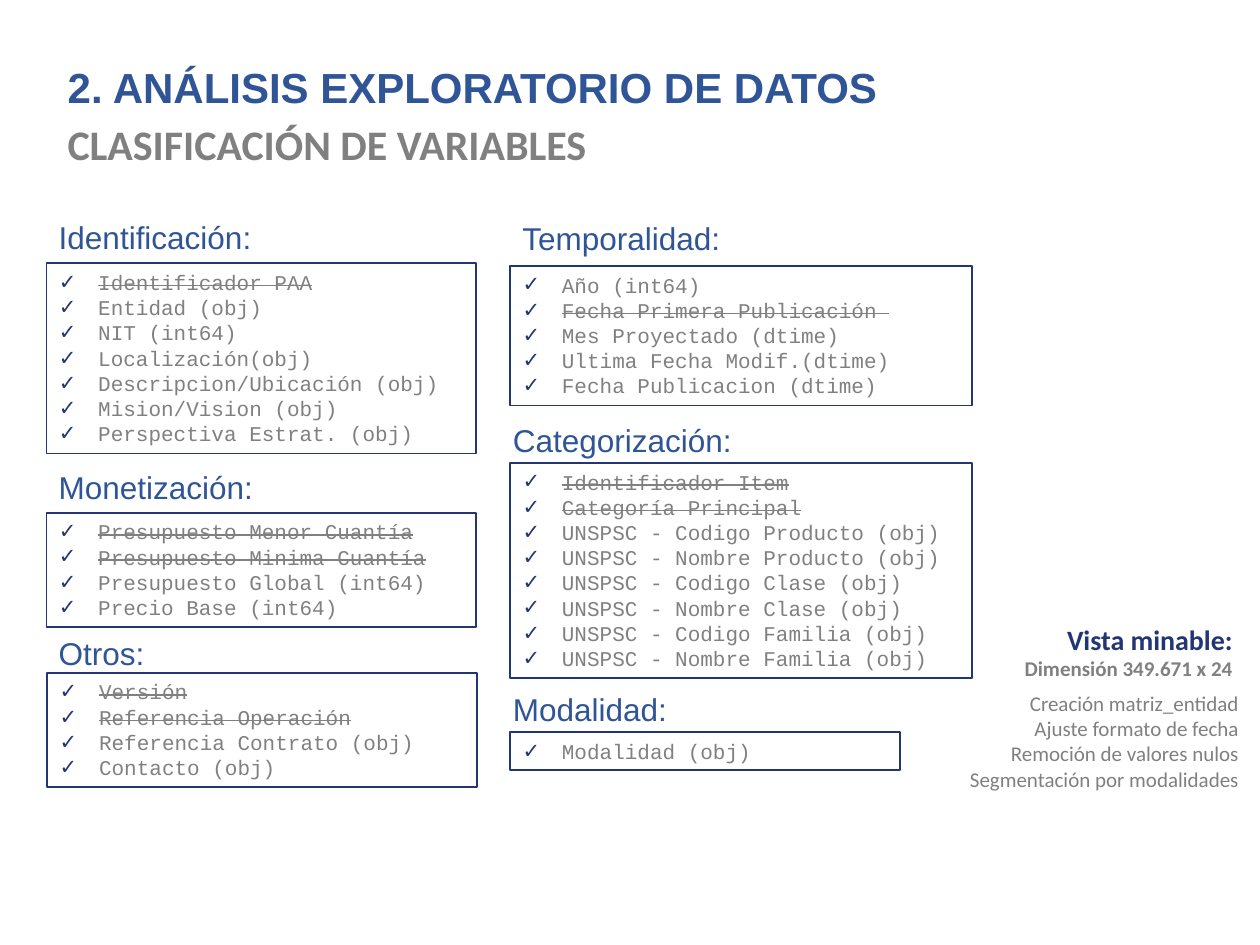
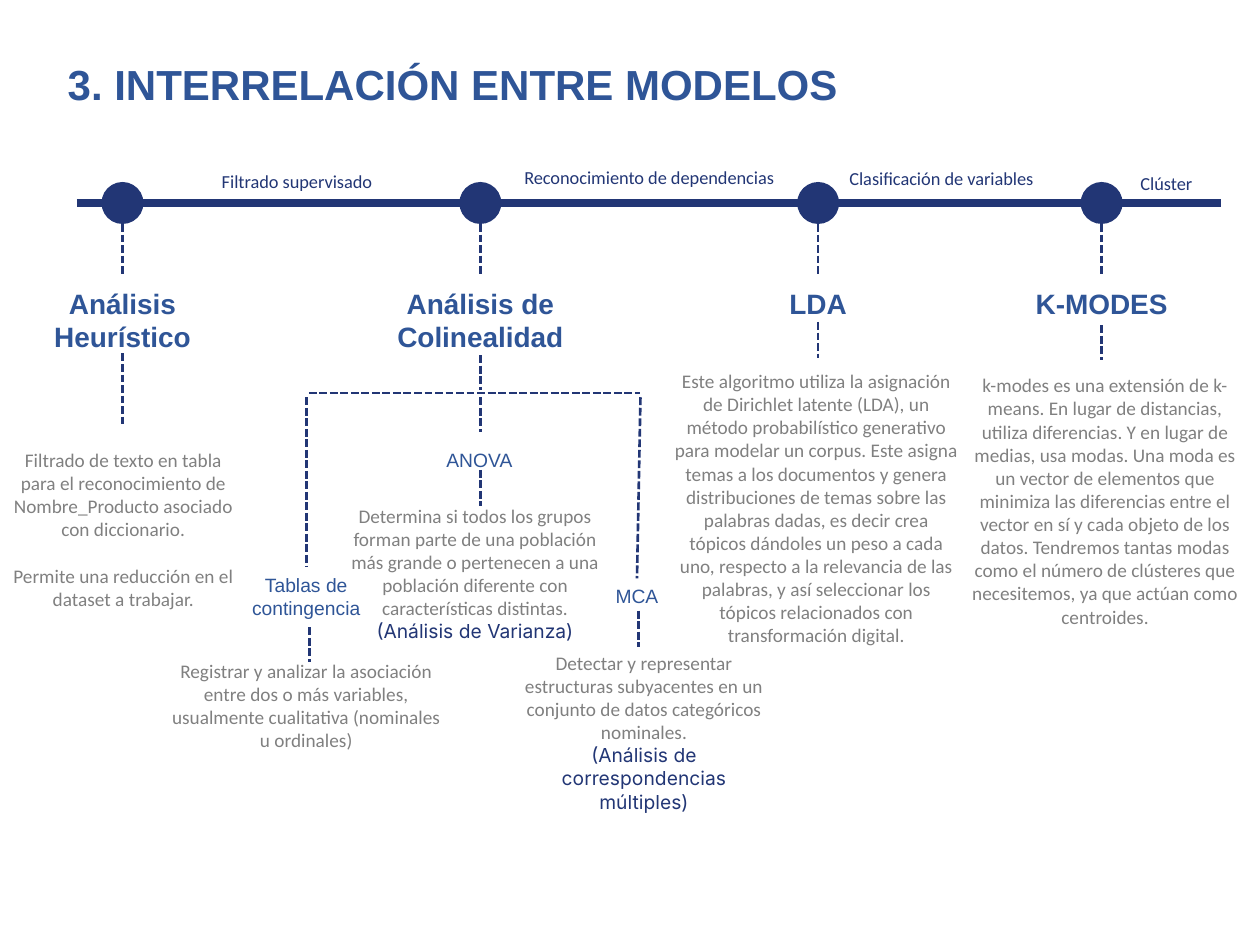
from pptx import Presentation
from pptx.dml.color import RGBColor
from pptx.enum.dml import MSO_LINE
from pptx.enum.shapes import MSO_CONNECTOR, MSO_SHAPE
from pptx.enum.text import MSO_ANCHOR, MSO_AUTO_SIZE, PP_ALIGN
from pptx.oxml.ns import qn
from pptx.util import Pt
from lxml.etree import SubElement

BLUE, NAVY, GRAY = "2F5597", "223675", "808080"
LEFT, MID, RIGHT = PP_ALIGN.LEFT, PP_ALIGN.CENTER, PP_ALIGN.RIGHT
HEAD = ("Arial", 24, BLUE, True)
SUB = ("Calibri", 24, GRAY, True)
LABEL = ("Arial", 18, BLUE, False)
CODE = ("Courier New", 12, GRAY, False)
VIEW = ("Calibri", 16, NAVY, True)
SIZE = ("Calibri", 12, GRAY, True)
STEP = ("Calibri", 12, GRAY, False)
STAGE = ("Arial", 16, BLUE, True)
TEST = ("Arial", 11, BLUE, False)
BODY = ("Calibri", 11, GRAY, False)
NAME = ("Inter", 11, NAVY, False)
LINK = ("Calibri", 10.5, NAVY, False)

GROUPS = [
    ("Identificación:", (26.5, 121), (26.5, 150.5, 245.5), 1,
     ["Identificador PAA", "Entidad (obj)", "NIT (int64)", "Localización(obj)",
      "Descripcion/Ubicación (obj)", "Mision/Vision (obj)", "Perspectiva Estrat. (obj)"]),
    ("Monetización:", (26.5, 264), (26.5, 293, 245.5), 2,
     ["Presupuesto Menor Cuantía", "Presupuesto Minima Cuantía",
      "Presupuesto Global (int64)", "Precio Base (int64)"]),
    ("Otros:", (26.5, 359), (27, 384.5, 245.5), 2,
     ["Versión", "Referencia Operación", "Referencia Contrato (obj)", "Contacto (obj)"]),
    ("Temporalidad:", (291.5, 121.5), (291.5, 152, 264), 0,
     ["Año (int64)", "Fecha Primera Publicación ", "Mes Proyectado (dtime)",
      "Ultima Fecha Modif.(dtime)", "Fecha Publicacion (dtime)"]),
    ("Categorización:", (286, 237), (291.5, 264.5, 264), 2,
     ["Identificador Item", "Categoría Principal",
      "UNSPSC - Codigo Producto (obj)", "UNSPSC - Nombre Producto (obj)",
      "UNSPSC - Codigo Clase (obj)", "UNSPSC - Nombre Clase (obj)",
      "UNSPSC - Codigo Familia (obj)", "UNSPSC - Nombre Familia (obj)"]),
    ("Modalidad:", (286, 391), (291.5, 418.5, 223), 0, ["Modalidad (obj)"]),
]
STRUCK = {"Fecha Primera Publicación "}
STEPS = ["Creación matriz_entidad", "Ajuste formato de fecha",
         "Remoción de valores nulos", "Segmentación por modalidades"]

AXIS = 116
DOT = 23
STAGES = [
    ("Análisis Heurístico", 70, 99, 46, 202, 244),
    ("Análisis de Colinealidad", 274.5, 120, 46, 203, 223),
    ("LDA", 467.5, 120, 27, 184, 204.5),
    ("K-MODES", 629.5, 120, 27, 186, 206),
]
LINKS = [
    ("Filtrado supervisado", 70, 93.5, 199.5),
    ("Reconocimiento de dependencias", 274.5, 91.5, 193),
    ("Clasificación de variables", 467.5, 92, 141),
    ("Clúster", 614, 95, 105),
]
TESTS = [
    ("Tablas de contingencia", 175, 324, 34),
    ("ANOVA", 274, 252.5, 21),
    ("MCA", 364, 330.5, 21),
]
DASHES = [
    (176.5, 224.5, 366, 224.5), (274.5, 227, 274.5, 247),
    (274.5, 268.5, 274.5, 289), (177, 358.5, 177, 378.5), (365, 349, 365, 369.5),
]
FORKS = [(175, 227, 0), (366, 227, 2)]
NOTES = [
    ((0, 252.5, 141, 101), [
        ("Filtrado de texto en tabla para el reconocimiento de Nombre_Producto "
         "asociado con diccionario.", BODY),
        ("Permite una reducción en el dataset a trabajar.", BODY)], 13.4),
    ((88.5, 373, 173, 60.5), [
        ("Registrar y analizar la asociación entre dos o más variables, "
         "usualmente cualitativa (nominales u ordinales)", BODY)], 0),
    ((192, 284.5, 159, 87), [
        ("Determina si todos los grupos forman parte de una población más grande "
         "o pertenecen a una población diferente con características distintas.", BODY),
        ("(Análisis de Varianza)", NAME)], 0),
    ((288.5, 368.5, 159, 87), [
        ("Detectar y representar estructuras subyacentes en un conjunto de datos "
         "categóricos nominales.", BODY),
        ("(Análisis de correspondencias múltiples)", NAME)], 0),
    ((378, 207.5, 177, 167), [
        ("Este algoritmo utiliza la asignación de Dirichlet latente (LDA), un método "
         "probabilístico generativo para modelar un corpus. Este asigna temas a los "
         "documentos y genera distribuciones de temas sobre las palabras dadas, es decir "
         "crea tópicos dándoles un peso a cada uno, respecto a la relevancia de las "
         "palabras, y así seleccionar los tópicos relacionados con transformación "
         "digital.", BODY)], 0),
    ((547, 210, 169, 155), [
        ("k-modes es una extensión de k-means. En lugar de distancias, utiliza "
         "diferencias. Y en lugar de medias, usa modas. Una moda es un vector de "
         "elementos que minimiza las diferencias entre el vector en sí y cada objeto de "
         "los datos. Tendremos tantas modas como el número de clústeres que necesitemos, "
         "ya que actúan como centroides.", BODY)], 0),
]


def tint(code):
    return RGBColor.from_string(code)


def write(frame, lines, align=LEFT, gap=0, wrap=True):
    frame.word_wrap = wrap
    frame.auto_size = MSO_AUTO_SIZE.NONE
    frame.vertical_anchor = MSO_ANCHOR.TOP
    for i, (text, (face, size, hue, bold)) in enumerate(lines):
        para = frame.paragraphs[0] if i == 0 else frame.add_paragraph()
        para.alignment = align
        para.space_before = Pt(gap if i else 0)
        run = para.add_run()
        run.text = text
        font = run.font
        font.name, font.size, font.bold = face, Pt(size), bold
        font.color.rgb = tint(hue)


def label(slide, spot, lines, align=LEFT, gap=0, wrap=True):
    box = slide.shapes.add_textbox(*map(Pt, spot))
    write(box.text_frame, lines, align, gap, wrap)
    return box


def shape(slide, kind, spot, fill=None):
    form = slide.shapes.add_shape(kind, *map(Pt, spot))
    form.shadow.inherit = False
    form.line.color.rgb = tint(NAVY)
    form.line.width = Pt(1)
    if fill:
        form.fill.solid()
        form.fill.fore_color.rgb = tint(fill)
    else:
        form.fill.background()
    return form


def line(slide, ends, width=1.5, dash=MSO_LINE.SQUARE_DOT):
    wire = slide.shapes.add_connector(MSO_CONNECTOR.STRAIGHT, *map(Pt, ends))
    wire.line.color.rgb = tint(NAVY)
    wire.line.width = Pt(width)
    wire.line.dash_style = dash
    SubElement(wire._element.spPr, qn("a:effectLst"))
    return wire


def check(para):
    props = para._p.get_or_add_pPr()
    props.set("marL", str(Pt(22.5)))
    props.set("indent", str(-Pt(22.5)))
    SubElement(SubElement(props, qn("a:buClr")), qn("a:srgbClr")).set("val", NAVY)
    SubElement(props, qn("a:buFont")).set("typeface", "Arial")
    SubElement(props, qn("a:buChar")).set("char", "✓")


def page(deck, text, top):
    slide = deck.slides.add_slide(deck.slide_layouts[5])
    title = slide.shapes.title
    title.left, title.top, title.width, title.height = map(Pt, (31.5, top, 587.5, 36))
    write(title.text_frame, [(text, HEAD)])
    return slide


def group(slide, name, spot, area, cut, items):
    box = shape(slide, MSO_SHAPE.RECTANGLE, (*area, 7.2 + 14.5 * len(items)))
    write(box.text_frame, [(item, CODE) for item in items])
    for i, para in enumerate(box.text_frame.paragraphs):
        check(para)
        if i < cut or items[i] in STRUCK:
            para.runs[0]._r.get_or_add_rPr().set("strike", "sngStrike")
    label(slide, (*spot, 360 if name != "Modalidad:" else 160, 51), [(name, LABEL)])


def sort(deck):
    slide = page(deck, "2. ANÁLISIS EXPLORATORIO DE DATOS", 31.5)
    label(slide, (31.5, 64, 314, 36), [("CLASIFICACIÓN DE VARIABLES", SUB)], wrap=False)
    for part in GROUPS:
        group(slide, *part)
    label(slide, (572.5, 352, 139, 60.5),
          [("Vista minable:", VIEW), ("Dimensión 349.671 x 24", SIZE)], RIGHT)
    label(slide, (503, 391, 212, 65.5), [(step, STEP) for step in STEPS], RIGHT)


def models(deck):
    slide = page(deck, "3. INTERRELACIÓN ENTRE MODELOS", 30)
    line(slide, (44, AXIS, 698, AXIS), 4.5, MSO_LINE.SOLID)
    for name, x, wide, high, start, end in STAGES:
        shape(slide, MSO_SHAPE.OVAL, (x - DOT / 2, AXIS - DOT / 2, DOT, DOT), NAVY)
        line(slide, (x, AXIS, x, 157))
        label(slide, (x - wide / 2, 160, wide, high), [(name, STAGE)], MID)
        line(slide, (x, start, x, end))
    for name, x, y, wide in LINKS:
        label(slide, (x, y, wide, 20), [(name, LINK)], MID)
    tests = [label(slide, (x - 60, y, 120, high), [(name, TEST)], MID)
             for name, x, y, high in TESTS]
    for ends in DASHES:
        line(slide, ends)
    for x, y, goal in FORKS:
        line(slide, (x, y, x, y + 100)).end_connect(tests[goal], 0)
    for spot, lines, gap in NOTES:
        label(slide, spot, lines, MID, gap)


def main():
    deck = Presentation()
    deck.slide_width, deck.slide_height = Pt(720), Pt(540)
    sort(deck)
    models(deck)
    deck.save("out.pptx")


if __name__ == "__main__":
    main()
